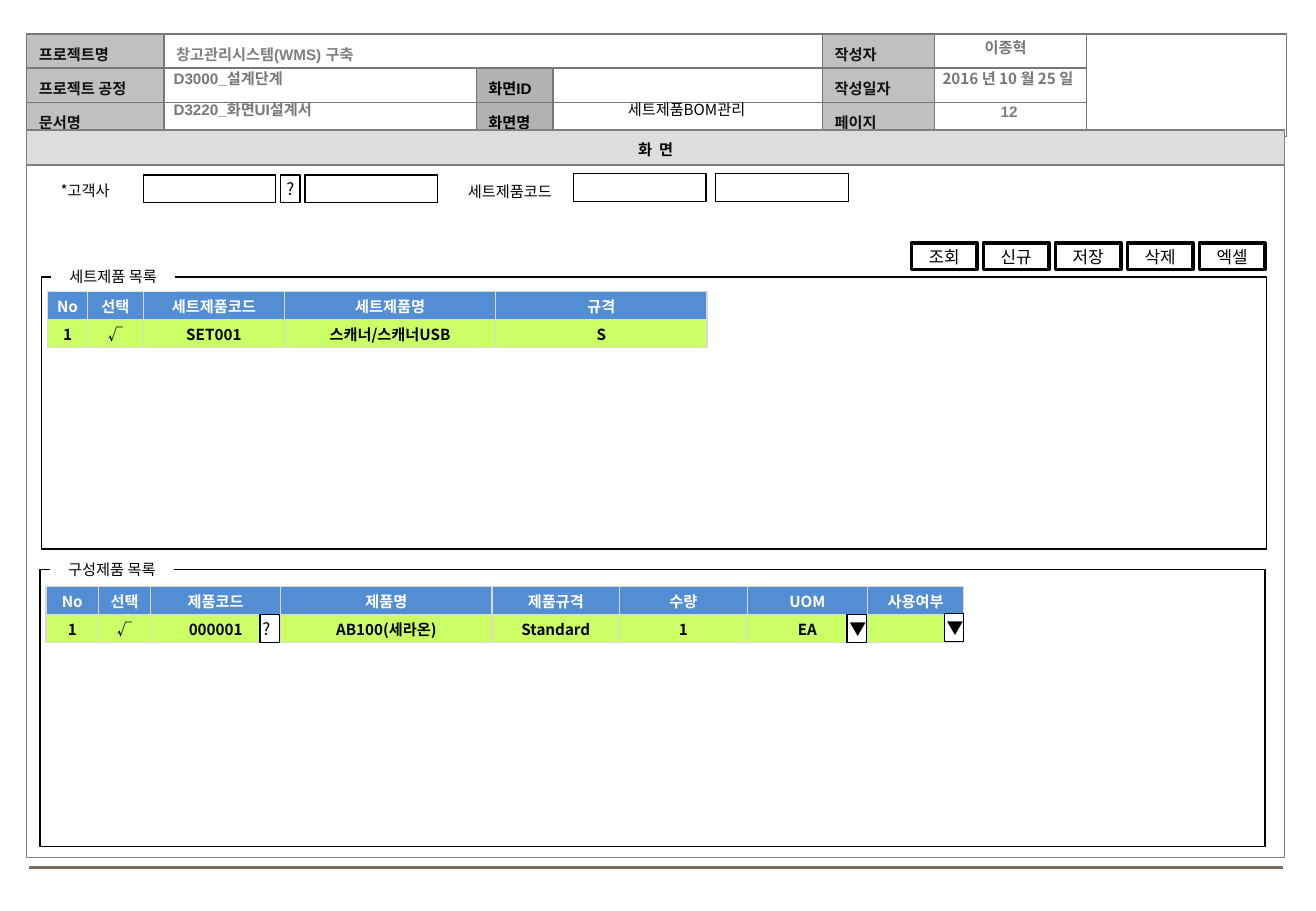
from lxml import etree
from pptx import Presentation
from pptx.dml.color import RGBColor
from pptx.enum.shapes import MSO_CONNECTOR, MSO_SHAPE
from pptx.enum.text import MSO_ANCHOR, PP_ALIGN
from pptx.oxml.ns import qn
from pptx.util import Inches, Pt

LEFT, CENTER = PP_ALIGN.LEFT, PP_ALIGN.CENTER
TOP, MIDDLE = MSO_ANCHOR.TOP, MSO_ANCHOR.MIDDLE
RECTANGLE, STRAIGHT = MSO_SHAPE.RECTANGLE, MSO_CONNECTOR.STRAIGHT
KOREAN, LATIN = "Noto Sans CJK KR", "Arial"
BLACK, WHITE, GRAY = "000000", "FFFFFF", "777777"
LABEL_FILL, SCREEN_FILL = "C0C0C0", "B2B2B2"
HEADER_FILL, ROW_FILL, GRID_LINE = "538ED5", "CCFF66", "D9D9D9"

# Content: document header, (row, column): (text, colour, fill)
HEADER_COLUMNS = [1.13, 2.57, 0.63, 2.22, 0.92, 1.25, 1.65]
HEADER_CELLS = {
    (0, 0): ("프로젝트명", "111111", LABEL_FILL),
    (0, 1): ("창고관리시스템(WMS) 구축", "808080", None),
    (0, 4): ("작성자", "111111", LABEL_FILL),
    (1, 0): ("프로젝트 공정", "111111", LABEL_FILL),
    (1, 2): ("화면ID", BLACK, SCREEN_FILL),
    (1, 4): ("작성일자", "111111", LABEL_FILL),
    (2, 0): ("문서명", "111111", LABEL_FILL),
    (2, 2): ("화면명", BLACK, SCREEN_FILL),
    (2, 4): ("페이지", "111111", LABEL_FILL),
}
BOLD_GRAY = {"color": GRAY, "bold": True}
TEXTS = [  # text, (left, top, width), format
    ("D3000_설계단계", (1.33, 0.52, 5.42), {**BOLD_GRAY, "font": LATIN, "align": LEFT}),
    ("D3220_화면UI설계서", (1.33, 0.78, 5.42), {**BOLD_GRAY, "font": LATIN, "align": LEFT}),
    ("12", (7.68, 0.79, 1.25), {"color": "7F7F7F", "bold": True, "font": LATIN}),
    ("세트제품BOM관리", (4.56, 0.78, 2.18), {}),
    ("2016 년 10 월 25 일", (7.51, 0.52, 1.57), BOLD_GRAY),
    ("이종혁", (7.49, 0.27, 1.57), BOLD_GRAY),
    ("*고객사", (0.3, 1.44, 0.8), {}),
    ("세트제품코드", (3.67, 1.45, 1.05), {}),
]

# Content: list panels
PANELS = [
    {"title": "세트제품 목록", "left": 0.34, "top": 2.28, "height": 2.24, "table_top": 2.4,
     "columns": [0.33, 0.46, 1.16, 1.74, 1.74],
     "rows": [["No", "선택", "세트제품코드", "세트제품명", "규격"],
              ["1", "√", "SET001", "스캐너/스캐너USB", "S"]]},
    {"title": "구성제품 목록", "left": 0.33, "top": 4.69, "height": 2.28, "table_top": 4.83,
     "columns": [0.43, 0.43, 1.07, 1.74, 1.05, 1.05, 0.99, 0.79],
     "rows": [["No", "선택", "제품코드", "제품명", "제품규격", "수량", "UOM", "사용여부"],
              ["1", "√", "000001", "AB100(세라온)", "Standard", "1", "EA", ""]]},
]

# Content: form controls
BUTTONS = ["조회", "신규", "저장", "삭제", "엑셀"]
INPUTS = [(1.18, 1.44), (2.51, 1.44), (4.72, 1.43), (5.89, 1.43)]
PICKERS = [("?", 2.31, 1.44, CENTER), ("?", 2.14, 5.06, LEFT),
           ("▼", 6.97, 5.06, LEFT), ("▼", 7.77, 5.05, LEFT)]


def rgb(value):
    return RGBColor.from_string(value)


def write(frame, text, size=9, color=BLACK, font=KOREAN, bold=False, align=CENTER,
          margins=(0.1, 0.05, 0.1, 0.05), anchor=TOP, wrap=True):
    frame.margin_left, frame.margin_top, frame.margin_right, frame.margin_bottom = map(Inches, margins)
    frame.vertical_anchor = anchor
    frame.word_wrap = wrap
    paragraph = frame.paragraphs[0]
    paragraph.alignment = align
    run = paragraph.add_run()
    run.text = text
    run.font.size, run.font.bold, run.font.name = Pt(size), bold, font
    run.font.color.rgb = rgb(color)
    etree.SubElement(run.font._element, qn("a:ea"), typeface=KOREAN)


def add_box(left, top, width, height, text="", fill=WHITE, line=0.75, **text_format):
    shape = slide.shapes.add_shape(RECTANGLE, *map(Inches, (left, top, width, height)))
    shape.shadow.inherit = False
    if fill:
        shape.fill.solid()
        shape.fill.fore_color.rgb = rgb(fill)
    else:
        shape.fill.background()
    if line:
        shape.line.color.rgb = rgb(BLACK)
        shape.line.width = Pt(line)
    else:
        shape.line.fill.background()
    if text:
        write(shape.text_frame, text, **text_format)


def style_cell(cell, text, fill, border, margins, **text_format):
    properties = cell._tc.get_or_add_tcPr()
    for side in ("lnL", "lnR", "lnT", "lnB"):
        edge = etree.SubElement(properties, qn(f"a:{side}"), w=str(Pt(1)))
        solid = etree.SubElement(edge, qn("a:solidFill"))
        etree.SubElement(solid, qn("a:srgbClr"), val=border)
    if fill:
        cell.fill.solid()
        cell.fill.fore_color.rgb = rgb(fill)
    else:
        cell.fill.background()
    cell.margin_left, cell.margin_top, cell.margin_right, cell.margin_bottom = map(Inches, margins)
    cell.vertical_anchor = MIDDLE
    if text:
        write(cell.text_frame, text, bold=True, margins=margins, anchor=MIDDLE, **text_format)
        cell.vertical_anchor = MIDDLE
    else:
        cell.text_frame.paragraphs[0]._p.get_or_add_endParaRPr().set("sz", "900")


def add_grid(left, top, columns, rows):
    frame = slide.shapes.add_table(len(rows), len(columns), *map(
        Inches, (left, top, sum(columns), sum(rows))))
    table = frame.table
    table.first_row = table.horz_banding = False
    for column, width in zip(table.columns, columns):
        column.width = Inches(width)
    for row, height in zip(table.rows, rows):
        row.height = Inches(height)
    return table


presentation = Presentation()
presentation.slide_width, presentation.slide_height = Inches(10.83), Inches(7.5)
slide = presentation.slides.add_slide(presentation.slide_layouts[6])

# Footer rule
rule = slide.shapes.add_connector(STRAIGHT, *map(Inches, (0.24, 7.14, 10.56, 7.14)))
rule.line.color.rgb = rgb("7A6F54")
rule.line.width = Pt(1.75)
etree.SubElement(rule._element.spPr, qn("a:effectLst"))

# Document header; uneven margins set its text slightly low
header = add_grid(0.22, 0.28, HEADER_COLUMNS, [0.25] * 3)
for row in range(3):
    for column in range(len(HEADER_COLUMNS)):
        text, color, fill = HEADER_CELLS.get((row, column), ("", BLACK, None))
        style_cell(header.cell(row, column), text, fill, GRAY, (0.1, 0.07, 0.1, 0.03),
                   color=color, font=LATIN, align=LEFT)
header.cell(0, 1).merge(header.cell(0, 3))
header.cell(0, 6).merge(header.cell(2, 6))

# Screen area
screen = add_grid(0.22, 1.07, [10.35], [0.29, 5.7])
style_cell(screen.cell(0, 0), "화  면", "DDDDDD", "808080", (0.02, 0.02, 0.02, 0), font=LATIN)
style_cell(screen.cell(1, 0), "", None, "808080", (0.02, 0, 0.02, 0))

# Header values and field labels
for text, (left, top, width), text_format in TEXTS:
    box = slide.shapes.add_textbox(*map(Inches, (left, top, width, 0.25)))
    write(box.text_frame, text, **text_format)

# List panels
for panel in PANELS:
    left, top = panel["left"], panel["top"]
    table = add_grid(left + 0.05, panel["table_top"], panel["columns"], [0.23, 0.23])
    for row, values in enumerate(panel["rows"]):
        fill, color = [(HEADER_FILL, WHITE), (ROW_FILL, BLACK)][row]
        for column, text in enumerate(values):
            style_cell(table.cell(row, column), text, fill, GRID_LINE,
                       (0.01, 0.01, 0.01, 0), color=color)
    add_box(left, top, 10.08, panel["height"], fill=None)
    add_box(left + 0.08, top - 0.13, 1.02, 0.25, panel["title"], line=None)

# Buttons, inputs and pickers
CONTROL = {"size": 10, "margins": (0.02, 0.04, 0.02, 0.04), "anchor": MIDDLE, "wrap": False}
for index, text in enumerate(BUTTONS):
    add_box(7.5 + index * 2.37 / 4, 2, 0.54, 0.22, text, line=2, **CONTROL)
for left, top in INPUTS:
    add_box(left, top, 1.09, 0.23)
for text, left, top, align in PICKERS:
    add_box(left, top, 0.16, 0.23, text, align=align, **CONTROL)

presentation.save("out.pptx")
